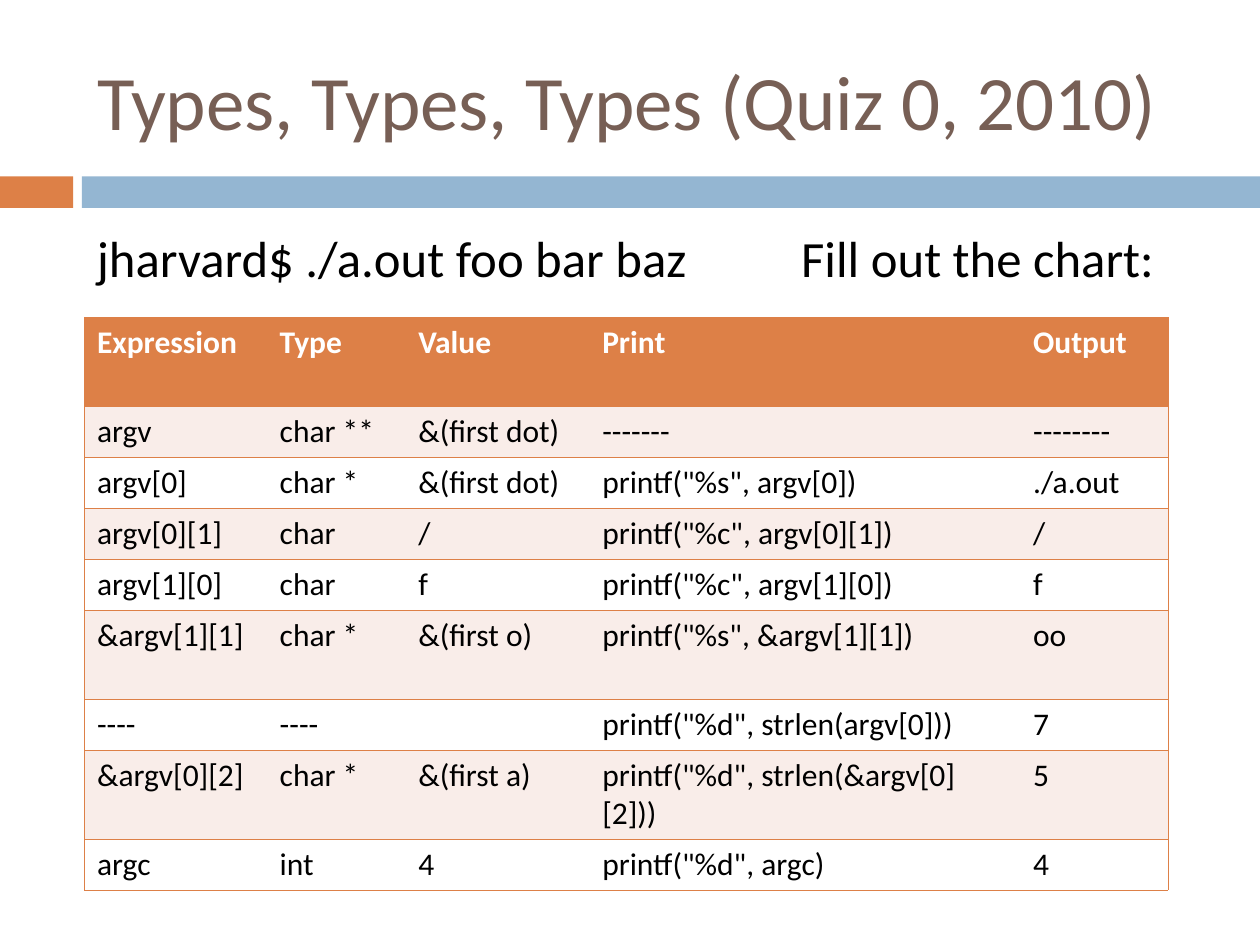
"""Build the quiz slide with its table of argv types, values and output."""

import dataclasses

import lxml.etree
import pptx
import pptx.dml.color
import pptx.enum.shapes
import pptx.enum.text
import pptx.oxml.ns
import pptx.util

SLIDE_WIDTH, SLIDE_HEIGHT = pptx.util.Inches(10), pptx.util.Inches(7.5)
GRID_COLUMNS = 100
UNIT = SLIDE_WIDTH // GRID_COLUMNS

FONT = "Calibri"
ORANGE, BLUE, BROWN = "DD8047", "94B6D2", "775F55"
PINK, WHITE, BLACK = "F9EDE9", "FFFFFF", "000000"

COLUMN_WIDTHS = [14.5, 11, 14.6, 34.2, 11.7]
SHORT_ROW, TALL_ROW = 4.05, 7.05


@dataclasses.dataclass(frozen=True)
class Box:
    """A place on the slide, in grid units."""

    left: float
    top: float
    width: float
    height: float

    def lengths(self) -> list[int]:
        return [units(value) for value in dataclasses.astuple(self)]


@dataclasses.dataclass(frozen=True)
class Bar:
    """A plain coloured bar."""

    box: Box
    fill: str


@dataclasses.dataclass(frozen=True)
class Row:
    """One table row: its cell texts and its height."""

    texts: tuple[str, ...]
    height: float = SHORT_ROW


BARS = [Bar(Box(0, 14, 5.8, 2.5), ORANGE), Bar(Box(6.5, 14, 93.5, 2.5), BLUE)]

ROWS = [
    Row(("Expression", "Type", "Value", "Print", "Output"), TALL_ROW),
    Row(("argv", "char **", "&(first dot)", "-------", "--------")),
    Row(("argv[0]", "char *", "&(first dot)", 'printf("%s", argv[0])', "./a.out")),
    Row(("argv[0][1]", "char", "/", 'printf("%c", argv[0][1])', "/")),
    Row(("argv[1][0]", "char", "f", 'printf("%c", argv[1][0])', "f")),
    Row(("&argv[1][1]", "char *", "&(first o)", 'printf("%s", &argv[1][1])', "oo"), TALL_ROW),
    Row(("----", "----", "", 'printf("%d", strlen(argv[0]))', "7")),
    Row(("&argv[0][2]", "char *", "&(first a)", 'printf("%d", strlen(&argv[0][2]))', "5"), TALL_ROW),
    Row(("argc", "int", "4", 'printf("%d", argc)', "4")),
]


def units(value: float) -> int:
    return round(value * UNIT)


def set_fill(target, colour: str) -> None:
    target.fill.solid()
    target.fill.fore_color.rgb = pptx.dml.color.RGBColor.from_string(colour)


def write_text(frame, text: str, *, size: float, colour: str = BLACK, bold: bool = False,
               tab: float | None = None, anchor=pptx.enum.text.MSO_ANCHOR.TOP) -> None:
    frame.word_wrap = True
    frame.vertical_anchor = anchor
    paragraph = frame.paragraphs[0]
    paragraph.text = text
    paragraph.alignment = pptx.enum.text.PP_ALIGN.LEFT
    if tab is not None:
        properties = paragraph._p.get_or_add_pPr()
        tabs = lxml.etree.SubElement(properties, pptx.oxml.ns.qn("a:tabLst"))
        lxml.etree.SubElement(tabs, pptx.oxml.ns.qn("a:tab"), pos=str(units(tab)), algn="l")
    for font in [paragraph.font] + [run.font for run in paragraph.runs]:
        font.name, font.size, font.bold = FONT, pptx.util.Pt(size), bold
        font.color.rgb = pptx.dml.color.RGBColor.from_string(colour)


def set_borders(cell, shown: str) -> None:
    properties = cell._tc.get_or_add_tcPr()
    for side in "LRTB":
        line = lxml.etree.SubElement(properties, pptx.oxml.ns.qn(f"a:ln{side}"))
        if side in shown:
            line.set("w", str(pptx.util.Pt(0.45)))
            fill = lxml.etree.SubElement(line, pptx.oxml.ns.qn("a:solidFill"))
            lxml.etree.SubElement(fill, pptx.oxml.ns.qn("a:srgbClr"), val=ORANGE)
        else:
            lxml.etree.SubElement(line, pptx.oxml.ns.qn("a:noFill"))


def draw_bar(slide, bar: Bar) -> None:
    shape = slide.shapes.add_shape(pptx.enum.shapes.MSO_SHAPE.RECTANGLE, *bar.box.lengths())
    shape.shadow.inherit = False
    set_fill(shape, bar.fill)
    shape.line.fill.background()


def draw_title(slide, text: str, box: Box) -> None:
    title = slide.shapes.title
    title.left, title.top, title.width, title.height = box.lengths()
    title.text_frame.auto_size = pptx.enum.text.MSO_AUTO_SIZE.NONE
    write_text(title.text_frame, text, size=44, colour=BROWN,
               anchor=pptx.enum.text.MSO_ANCHOR.MIDDLE)


def draw_table(slide, rows: list[Row], left: float, top: float) -> None:
    box = Box(left, top, sum(COLUMN_WIDTHS), sum(row.height for row in rows))
    table = slide.shapes.add_table(len(rows), len(COLUMN_WIDTHS), *box.lengths()).table
    table.horz_banding = False
    for column, width in zip(table.columns, COLUMN_WIDTHS):
        column.width = units(width)
    last = len(COLUMN_WIDTHS) - 1
    for row_index, row in enumerate(rows):
        table.rows[row_index].height = units(row.height)
        header = row_index == 0
        fill = ORANGE if header else PINK if row_index % 2 else WHITE
        for column_index, text in enumerate(row.texts):
            cell = table.cell(row_index, column_index)
            set_borders(cell, "TB" + {0: "L", last: "R"}.get(column_index, ""))
            set_fill(cell, fill)
            write_text(cell.text_frame, text, size=18, bold=header,
                       colour=WHITE if header else BLACK)


def main() -> None:
    presentation = pptx.Presentation()
    presentation.slide_width, presentation.slide_height = SLIDE_WIDTH, SLIDE_HEIGHT
    slide = presentation.slides.add_slide(presentation.slide_layouts.get_by_name("Title Only"))
    for bar in BARS:
        draw_bar(slide, bar)
    draw_title(slide, "Types, Types, Types (Quiz 0, 2010)", Box(6.7, 2.5, 89.2, 10.8))
    command = slide.shapes.add_textbox(*Box(6.7, 17.5, 89.2, 49.2).lengths())
    write_text(command.text_frame, "jharvard$ ./a.out foo bar baz\tFill out the chart:",
               size=29, tab=55.9)
    draw_table(slide, ROWS, left=6.7, top=25.2)
    presentation.save("out.pptx")


if __name__ == "__main__":
    main()
